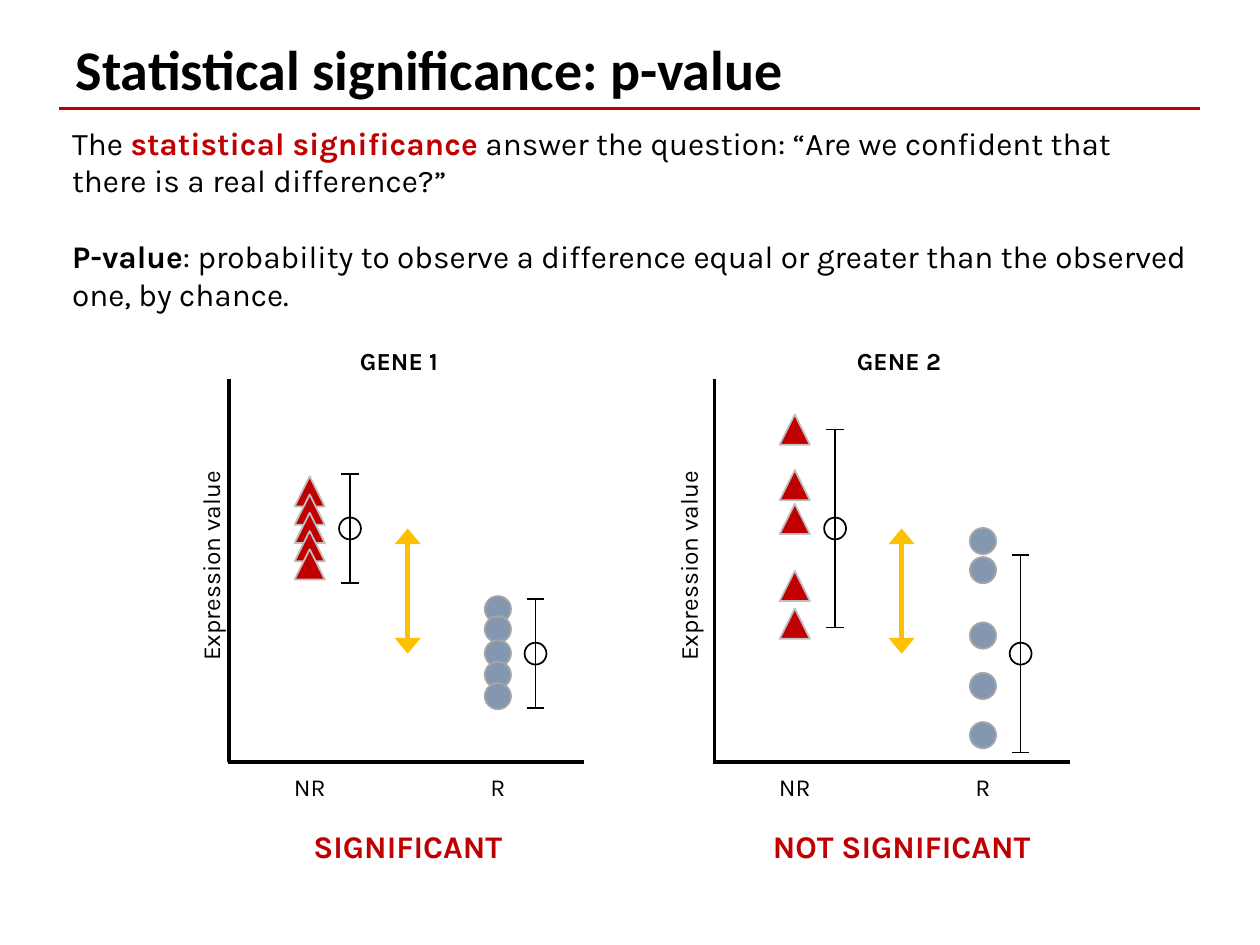
from dataclasses import dataclass

from lxml.etree import SubElement
from pptx import Presentation
from pptx.dml.color import RGBColor
from pptx.enum.shapes import MSO_CONNECTOR, MSO_SHAPE
from pptx.enum.text import MSO_ANCHOR, MSO_AUTO_SIZE, PP_ALIGN
from pptx.oxml.ns import qn
from pptx.util import Pt

COLORS = {
    "ink": "000000",
    "accent": "C00000",
    "arrow": "FFC000",
    "responder": "8497B0",
    "responder_edge": "A6A6A6",
    "nonresponder_edge": "BFBFBF",
}
TEXT_FONT = "Karla"
MEANS = (85.5, 157)
GROUP_CENTERS = (46, 153.5)
WHISKER_CENTERS = (69, 175)


@dataclass
class Gene:
    name: str
    verdict: str
    nonresponders: list
    responders: list
    spread: float
    name_center: float
    middle: float
    label_center: float


GENES = [
    Gene("GENE 1", "SIGNIFICANT", [64.3 + 10.44 * step for step in range(5)],
         [131.6, 143.1, 156.8, 169.1, 181.3], 31, 97, 102, -10.8),
    Gene("GENE 2", "NOT SIGNIFICANT", [29, 60.7, 80.1, 118.3, 139.9],
         [92.7, 109.3, 146.7, 175.5, 203.6], 56.5, 105.5, 107, -15),
]


def color(name):
    return RGBColor.from_string(COLORS[name])


def style_font(font, size, shade="ink", bold=False, face=TEXT_FONT):
    font.name = face
    font.size = Pt(size)
    font.bold = bold
    font.color.rgb = color(shade)


def add_line(page, start, end, width, shade="ink"):
    line = page.shapes.add_connector(
        MSO_CONNECTOR.STRAIGHT, *(Pt(value) for value in (*start, *end)))
    line.line.color.rgb = color(shade)
    line.line.width = Pt(width)
    SubElement(line._element.spPr, qn("a:effectLst"))
    return line


def add_double_arrow(page, start, end):
    arrow = add_line(page, start, end, 3, "arrow")
    outline = arrow.line._get_or_add_ln()
    for tag in ("a:headEnd", "a:tailEnd"):
        SubElement(outline, qn(tag), type="triangle", w="lg", len="med")


def add_marker(page, kind, center, size, fill, edge):
    x, y = center
    marker = page.shapes.add_shape(
        kind, Pt(x - size / 2), Pt(y - size / 2), Pt(size), Pt(size))
    marker.shadow.inherit = False
    if fill:
        marker.fill.solid()
        marker.fill.fore_color.rgb = color(fill)
    else:
        marker.fill.background()
    marker.line.color.rgb = color(edge)
    marker.line.width = Pt(1)


def add_label(page, text, center, width, size=14, shade="ink", bold=False, rotation=0):
    x, y = center
    height = size + 9
    box = page.shapes.add_textbox(
        Pt(x - width / 2), Pt(y - height / 2), Pt(width), Pt(height))
    box.rotation = rotation
    frame = box.text_frame
    frame.word_wrap = True
    frame.vertical_anchor = MSO_ANCHOR.MIDDLE
    para = frame.paragraphs[0]
    para.text = text
    para.alignment = PP_ALIGN.CENTER
    style_font(para.font, size, shade, bold)


def add_whisker(page, center, spread):
    x, y = center
    low, high = y + spread, y - spread
    add_line(page, (x, high), (x, low), 1)
    for end in (high, low):
        add_line(page, (x - 5, end), (x + 5, end), 1)
    add_marker(page, MSO_SHAPE.OVAL, center, 12.5, None, "ink")


def add_gene_plot(page, gene, left, top, width, height):
    def at(x, y):
        return left + x, top + y

    nonresponder_x, responder_x = GROUP_CENTERS
    for y in gene.responders:
        add_marker(page, MSO_SHAPE.OVAL, at(responder_x, y), 15,
                   "responder", "responder_edge")
    for y in gene.nonresponders:
        add_marker(page, MSO_SHAPE.ISOSCELES_TRIANGLE, at(nonresponder_x, y), 17.3,
                   "accent", "nonresponder_edge")
    for text, x in zip(("NR", "R"), GROUP_CENTERS):
        add_label(page, text, at(x, height + 14), 67)

    add_line(page, at(0, 0), at(0, height), 2)
    add_line(page, at(-0.7, height), at(width, height), 2)
    for x, mean in zip(WHISKER_CENTERS, MEANS):
        add_whisker(page, at(x, mean), gene.spread)

    add_label(page, "Expression value", at(gene.label_center, 107), 168, rotation=270)
    add_label(page, gene.name, at(gene.name_center, -10.3), 67, bold=True)
    add_double_arrow(page, at(gene.middle, MEANS[0]), at(gene.middle, MEANS[1]))
    add_label(page, gene.verdict, at(gene.middle, height + 48), 226, 18, "accent", True)


def place(shape, left, top, width, height):
    shape.left, shape.top = Pt(left), Pt(top)
    shape.width, shape.height = Pt(width), Pt(height)
    shape.text_frame.auto_size = MSO_AUTO_SIZE.NONE
    shape.text_frame.word_wrap = True


def add_heading(page, left, top, width, height):
    title = page.shapes.title
    place(title, left + 2, top, width - 4, height)
    title.text_frame.vertical_anchor = MSO_ANCHOR.MIDDLE
    para = title.text_frame.paragraphs[0]
    para.text = "Statistical significance: p-value"
    para.alignment = PP_ALIGN.LEFT
    style_font(para.font, 32, bold=True, face="Calibri")
    rule = top + height + 0.5
    add_line(page, (left, rule), (left + width, rule), 2, "accent")


def add_definitions(page, left, top, width, height):
    body = page.placeholders[1]
    place(body, left, top, width, height)
    frame = body.text_frame
    frame.vertical_anchor = MSO_ANCHOR.TOP
    paragraphs = [
        [("The ", "ink", False),
         ("statistical significance", "accent", True),
         (" answer the question: “Are we confident that there is a real difference?”",
          "ink", False)],
        [("P-value", "ink", True),
         (": probability to observe a difference equal or greater than the observed "
          "one, by chance.", "ink", False)],
    ]
    for index, spans in enumerate(paragraphs):
        para = frame.add_paragraph() if index else frame.paragraphs[0]
        properties = para._p.get_or_add_pPr()
        properties.set("marL", "0")
        properties.set("indent", "0")
        SubElement(properties, qn("a:buNone"))
        para.alignment = PP_ALIGN.LEFT
        para.space_before = Pt(21.5 * index)
        for text, shade, bold in spans:
            span = para.add_run()
            span.text = text
            style_font(span.font, 18, shade, bold)


def main():
    deck = Presentation()
    deck.slide_width, deck.slide_height = Pt(720), Pt(540)
    page = deck.slides.add_slide(deck.slide_layouts[1])
    add_heading(page, 34, 16.5, 652, 45)
    add_definitions(page, 34, 67, 652, 117)
    for index, gene in enumerate(GENES):
        add_gene_plot(page, gene, 131 + 277.2 * index, 216.5, 203, 219)
    deck.save("out.pptx")


if __name__ == "__main__":
    main()
